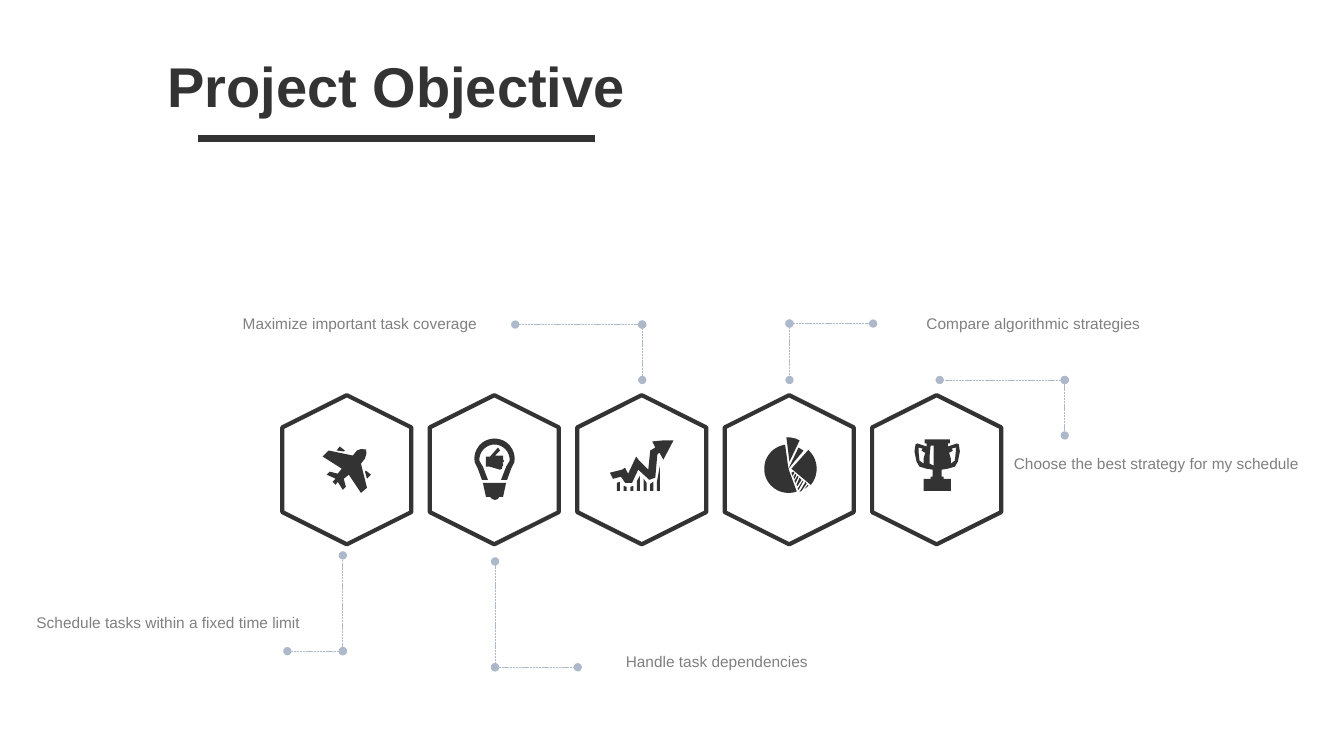
from math import cos, radians, sin

from pptx import Presentation
from pptx.dml.color import RGBColor
from pptx.enum.dml import MSO_LINE
from pptx.enum.shapes import MSO_CONNECTOR, MSO_SHAPE
from pptx.enum.text import MSO_AUTO_SIZE, PP_ALIGN
from pptx.oxml.ns import qn
from pptx.util import Inches, Pt
from lxml.etree import SubElement

DARK, GREY, BLUE = "333333", "808080", "ADB9CA"
HEX_W, HEX_H = 1.28, 1.48
FIRST_X, STEP_X, CENTER_Y = 3.44, 1.4625, 4.66


def rgb(value):
    return RGBColor.from_string(value)


def arc(cx, cy, radius, start, end, count=16):
    """Points along a circle; degrees run clockwise from the right."""
    angles = [radians(start + (end - start) * i / count) for i in range(count + 1)]
    return [(cx + radius * cos(a), cy + radius * sin(a)) for a in angles]


class Deck:
    def __init__(self, prs, font="Arial"):
        self.font = font
        self.slide = prs.slides.add_slide(prs.slide_layouts[6])
        self.shapes = self.slide.shapes

    def text(self, x, y, w, h, words, size, color, bold=False, wrap=True, spacing=None):
        tf = self.shapes.add_textbox(Inches(x), Inches(y), Inches(w), Inches(h)).text_frame
        tf.text = words
        tf.word_wrap = wrap
        tf.auto_size = MSO_AUTO_SIZE.SHAPE_TO_FIT_TEXT
        p = tf.paragraphs[0]
        p.alignment = PP_ALIGN.CENTER
        if spacing:
            p.line_spacing = spacing
        font = p.runs[0].font
        font.name, font.size, font.bold = self.font, Pt(size), bold
        font.color.rgb = rgb(color)

    def line(self, start, end, color, width, dotted=False):
        """Straight line; a dotted one has a round dot at both ends."""
        ends = [Inches(v) for v in (*start, *end)]
        cxn = self.shapes.add_connector(MSO_CONNECTOR.STRAIGHT, *ends)
        cxn.line.color.rgb = rgb(color)
        cxn.line.width = Pt(width)
        if dotted:
            cxn.line.dash_style = MSO_LINE.SQUARE_DOT
            ln = cxn.line._get_or_add_ln()
            for tag in ("a:headEnd", "a:tailEnd"):
                SubElement(ln, qn(tag), type="oval")
        SubElement(cxn._element.spPr, qn("a:effectLst"))

    def elbow(self, corner, *ends):
        for end in ends:
            self.line(corner, end, BLUE, 0.5, dotted=True)

    def hexagon(self, cx, cy):
        """Hexagon standing on a corner."""
        sp = self.shapes.add_shape(
            MSO_SHAPE.HEXAGON, Inches(cx - HEX_H / 2), Inches(cy - HEX_W / 2),
            Inches(HEX_H), Inches(HEX_W))
        sp.rotation = 270
        sp.shadow.inherit = False
        sp.fill.background()
        sp.line.color.rgb = rgb(DARK)
        sp.line.width = Pt(3)

    def icon(self, contours):
        """One filled outline made of closed contours, given in inches."""
        paths = [[(round(x * 1000), round(y * 1000)) for x, y in c] for c in contours]
        builder = self.shapes.build_freeform(*paths[0][0], scale=Inches(1) / 1000)
        for i, points in enumerate(paths):
            if i:
                builder.move_to(*points[0])
            builder.add_line_segments(points[1:], close=True)
        sp = builder.convert_to_shape()
        sp.shadow.inherit = False
        sp.fill.solid()
        sp.fill.fore_color.rgb = rgb(DARK)
        sp.line.fill.background()


PLANE = [
    [(3.63, 4.46), (3.635, 4.5), (3.62, 4.55), (3.58, 4.6), (3.64, 4.84), (3.58, 4.89),
     (3.46, 4.71), (3.41, 4.75), (3.43, 4.83), (3.4, 4.86), (3.35, 4.78), (3.33, 4.81),
     (3.3, 4.78), (3.33, 4.75), (3.24, 4.71), (3.27, 4.68), (3.35, 4.7), (3.39, 4.65),
     (3.2, 4.53), (3.26, 4.47), (3.5, 4.52), (3.54, 4.47), (3.58, 4.455)],
    [(3.68, 4.71), (3.63, 4.67), (3.62, 4.68), (3.64, 4.75)],
    [(3.37, 4.43), (3.34, 4.47), (3.41, 4.48), (3.42, 4.47)],
]

BULB = [
    [(4.79, 4.79), (5.02, 4.79), (4.99, 4.93), (4.95, 4.93), (4.94, 4.95), (4.91, 4.96),
     (4.88, 4.95), (4.86, 4.93), (4.82, 4.93)],
    [(4.99, 4.52), (4.99, 4.56), (5, 4.57), (4.99, 4.59), (4.98, 4.59), (4.99, 4.6),
     (4.99, 4.62), (4.98, 4.63), (4.98, 4.65), (4.96, 4.66), (4.86, 4.63), (4.82, 4.63),
     (4.82, 4.53), (4.86, 4.53), (4.94, 4.44), (4.96, 4.47), (4.91, 4.52)],
    [(4.78, 4.76), (4.84, 4.76), (4.79, 4.63), *arc(4.905, 4.56, 0.15, 175, 365),
     (5.02, 4.63), (4.97, 4.76), (5.03, 4.76), (5.07, 4.65),
     *arc(4.905, 4.55, 0.2, 10, -190), (4.74, 4.65)],
]

BAR_TOPS = [(4.79, 4.78), (4.82, 4.83), (4.83, 4.82), (4.77, 4.72),
            (4.75, 4.79), (4.8, 4.78), (4.78, 4.62)]
BAR_X, BAR_STEP, BAR_W, BAR_BASE = 6.12, 0.066, 0.03, 4.87
BARS = [
    [(x, BAR_BASE), (x, left), (x + BAR_W, right), (x + BAR_W, BAR_BASE)]
    for x, (left, right) in ((BAR_X + i * BAR_STEP, t) for i, t in enumerate(BAR_TOPS))
]
GROWTH = [
    [(6.68, 4.37), (6.58, 4.56), (6.54, 4.49), (6.52, 4.51), (6.5, 4.74), (6.44, 4.76),
     (6.33, 4.66), (6.27, 4.79), (6.2, 4.79), (6.16, 4.73), (6.08, 4.75), (6.05, 4.69),
     (6.17, 4.66), (6.2, 4.64), (6.23, 4.7), (6.31, 4.53), (6.34, 4.57), (6.43, 4.66),
     (6.45, 4.47), (6.5, 4.44), (6.47, 4.38), (6.57, 4.37)],
    *BARS,
]

PIE = [
    [(7.85, 4.65), *arc(7.85, 4.65, 0.25, -48, 40)],
    [(7.82, 4.65), *arc(7.82, 4.65, 0.24, 262, 70, 32)],
    [(7.82, 4.65), (7.92, 4.44), (7.97, 4.47)],
    [(7.83, 4.58), (7.8, 4.34), (7.84, 4.34), (7.89, 4.35), (7.93, 4.37)],
    [(8.02, 4.82), (7.98, 4.85), (8.01, 4.81)],
    [(7.95, 4.87), (8, 4.8), (7.99, 4.78), (7.93, 4.88)],
    [(7.92, 4.86), (7.97, 4.77), (7.96, 4.77), (7.91, 4.85)],
    [(7.91, 4.82), (7.95, 4.76), (7.93, 4.74), (7.9, 4.81)],
    [(7.89, 4.79), (7.92, 4.73), (7.91, 4.72), (7.88, 4.77)],
    [(7.88, 4.75), (7.9, 4.71), (7.89, 4.7), (7.87, 4.73)],
    [(7.86, 4.72), (7.88, 4.69), (7.87, 4.68), (7.85, 4.69)],
]

CUP_X = 9.295
CUP_HALF = [(9.17, 4.36), (9.17, 4.4), (9.19, 4.4), (9.19, 4.43), (9.1, 4.4), (9.08, 4.41),
            (9.07, 4.48), (9.09, 4.58), (9.12, 4.63), (9.19, 4.65), (9.25, 4.66),
            (9.25, 4.73), (9.23, 4.73), (9.23, 4.75), (9.16, 4.75), (9.16, 4.87)]
HANDLE = [(9.18, 4.48), (9.16, 4.55), (9.16, 4.6), (9.12, 4.57), (9.11, 4.48),
          (9.11, 4.44), (9.15, 4.45), (9.14, 4.47), (9.17, 4.49)]
SHINE = [(9.26, 4.42), (9.26, 4.62), (9.22, 4.6), (9.22, 4.52), (9.23, 4.42)]


def mirror(points):
    return [(2 * CUP_X - x, y) for x, y in reversed(points)]


TROPHY = [CUP_HALF + mirror(CUP_HALF), HANDLE, mirror(HANDLE), SHINE]

ELBOWS = [
    ((4.91, 6.62), (5.73, 6.62), (4.91, 5.57)),
    ((6.37, 3.22), (5.11, 3.22), (6.37, 3.77)),
    ((7.83, 3.21), (8.66, 3.21), (7.83, 3.77)),
    ((10.56, 3.77), (9.32, 3.77), (10.56, 4.32)),
    ((3.4, 6.46), (3.4, 5.51), (2.85, 6.46)),
]
OBJECTIVES = [
    (2.04, 3.04, 3.06, "Maximize important task coverage"),
    (8.72, 3.04, 3.06, "Compare algorithmic strategies"),
    (9.94, 4.43, 3.06, "Choose the best strategy for my schedule"),
    (5.9, 6.39, 2.42, "Handle task dependencies"),
    (0.14, 6.01, 3.06, "Schedule tasks within a fixed time limit"),
]


def main():
    prs = Presentation()
    prs.slide_width, prs.slide_height = Inches(13.33), Inches(7.5)
    deck = Deck(prs)
    deck.line((5.9, 1.37), (1.96, 1.37), DARK, 5)
    deck.text(1.56, 0.46, 4.74, 0.77, "Project Objective", 40, DARK, bold=True, wrap=False)
    for i, contours in enumerate((PLANE, BULB, GROWTH, PIE, TROPHY)):
        deck.hexagon(FIRST_X + i * STEP_X, CENTER_Y)
        deck.icon(contours)
    for corner, *ends in ELBOWS:
        deck.elbow(corner, *ends)
    for x, y, w, words in OBJECTIVES:
        deck.text(x, y, w, 0.31, words, 11, GREY, spacing=1.14)
    prs.save("out.pptx")


if __name__ == "__main__":
    main()
